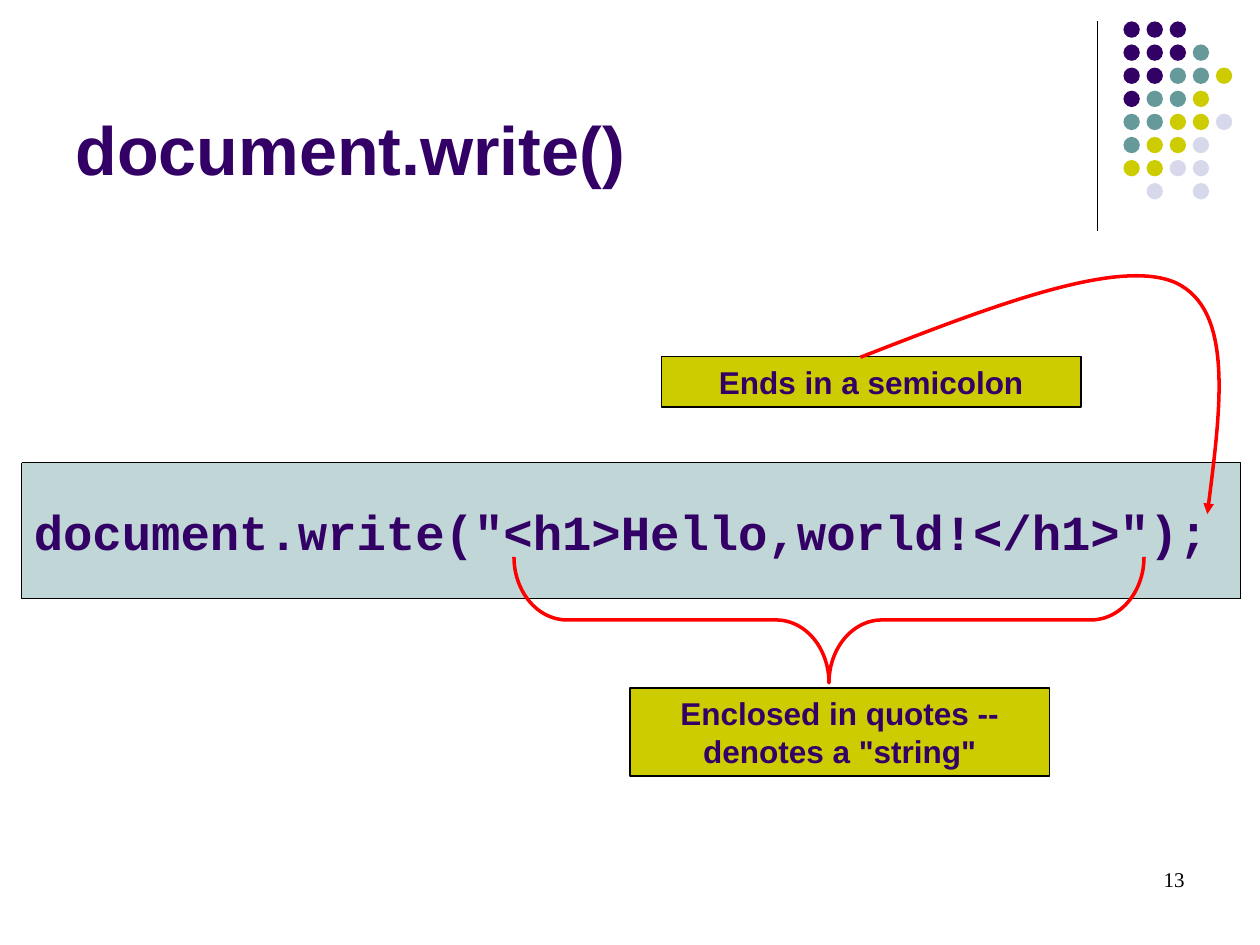
from lxml import etree
from pptx import Presentation, dml, util as u
from pptx.dml import color
from pptx.enum import dml as pen, shapes, text
from pptx.oxml import ns

INK, TEAL, LIME, PALE, RED, BLACK = (
    "330066", "669999", "CCCC00", "D8D8EC", "FF0000", "000000")
DOTS = ["III", "IIIT", "IITTL", "ITTL", "TTLLP", "TLLP", "LLPP", " P P"]
HUES = {"I": INK, "T": TEAL, "L": LIME, "P": PALE}
LEFT, MID, RIGHT = text.PP_ALIGN.LEFT, text.PP_ALIGN.CENTER, text.PP_ALIGN.RIGHT


def rgb(code):
    """Turn a hex string into a colour."""
    return color.RGBColor.from_string(code)


def box(x, y, w, h):
    """Return a box in slide units from lengths in inches."""
    return [u.Inches(n) for n in (x, y, w, h)]


def sub(node, tag, **attrs):
    """Add a drawing child element."""
    return etree.SubElement(node, ns.qn(tag), attrs)


def paint(shape, fill=None, line=None, width=1):
    """Set the fill and outline, and drop the shadow."""
    shape.shadow.inherit = False
    if fill:
        shape.fill.solid()
        shape.fill.fore_color.rgb = rgb(fill)
    else:
        shape.fill.background()
    if line:
        shape.line.color.rgb = rgb(line)
        shape.line.width = u.Pt(width)
    else:
        shape.line.fill.background()


def write(shape, words, size, font="Arial", hue=INK, bold=True,
          align=LEFT, anchor=text.MSO_ANCHOR.TOP):
    """Put one styled run into a shape."""
    frame = shape.text_frame
    frame.word_wrap = True
    frame.auto_size = text.MSO_AUTO_SIZE.NONE
    frame.vertical_anchor = anchor
    para = frame.paragraphs[0]
    para.alignment = align
    run = para.add_run()
    run.text = words
    run.font.name, run.font.size, run.font.bold = font, u.Pt(size), bold
    run.font.color.rgb = rgb(hue)


def corner(slide, area):
    """Draw the rule and the triangle of dots."""
    x, y, w, h = area
    rule = slide.shapes.add_connector(
        shapes.MSO_CONNECTOR.STRAIGHT, x, y, x, y + h)
    rule.line.color.rgb = rgb(BLACK)
    rule.line.width = u.Pt(0.75)
    sub(rule.line._get_or_add_ln().getparent(), "a:effectLst")
    group = slide.shapes.add_group_shape()
    size, step = u.Inches(0.13), u.Inches(0.55) / 3
    start = x + w - size - 4 * step
    for row, marks in enumerate(DOTS):
        for col, mark in enumerate(marks):
            if mark in HUES:
                dot = group.shapes.add_shape(
                    shapes.MSO_SHAPE.OVAL, int(start + col * step),
                    int(y + row * step), size, size)
                paint(dot, HUES[mark])


def heading(slide, area):
    """Place and format the title."""
    title = slide.shapes.title
    title.left, title.top, title.width, title.height = area
    write(title, "document.write()", 39, anchor=text.MSO_ANCHOR.BOTTOM)


def code(slide, area):
    """Draw the tinted band with the line of code."""
    band = slide.shapes.add_shape(shapes.MSO_SHAPE.RECTANGLE, *area)
    paint(band, TEAL, BLACK, 0.25)
    band.line.dash_style = pen.MSO_LINE.ROUND_DOT
    tint = band.fill._xPr.find(ns.qn("a:solidFill"))[0]
    sub(tint, "a:alpha", val="40000")
    write(band, 'document.write("<h1>Hello,world!</h1>");', 28,
          "Courier New", anchor=text.MSO_ANCHOR.MIDDLE)


def brace(slide, area):
    """Draw a brace that opens upward and fills the area."""
    x, y, w, h = area
    shape = slide.shapes.add_shape(
        shapes.MSO_SHAPE.LEFT_BRACE, x + (w - h) // 2, y + (h - w) // 2, h, w)
    shape.rotation = 270
    shape.adjustments[0] = 0.42
    paint(shape, line=RED, width=2)


def note(slide, area, words):
    """Draw a yellow callout."""
    card = slide.shapes.add_shape(shapes.MSO_SHAPE.RECTANGLE, *area)
    paint(card, LIME, BLACK, 0.75)
    write(card, words, 18, align=MID)


def arrow(slide, area):
    """Draw the curved arrow through two cubic segments."""
    x, y, w, h = area
    spots = [(0, 0.39), (0.345, 0.195), (0.69, 0), (0.845, 0.1),
             (1, 0.205), (0.965, 0.6), (0.93, 1)]
    points = [(int(x + a * w), int(y + b * h)) for a, b in spots]
    pen_down = slide.shapes.build_freeform(*points[0])
    pen_down.add_line_segments(points[1:], close=False)
    curve = pen_down.convert_to_shape()
    paint(curve, line=RED, width=2)
    track = next(curve.element.iter(ns.qn("a:path")))
    lines = track.findall(ns.qn("a:lnTo"))
    for first in range(0, len(lines), 3):
        bend = sub(track, "a:cubicBezTo")
        for part in lines[first:first + 3]:
            bend.append(part[0])
            track.remove(part)
    sub(curve.line._get_or_add_ln(), "a:tailEnd", type="triangle")


def number(slide, area):
    """Write the page number."""
    label = slide.shapes.add_textbox(*area)
    write(label, "13", 12, "Times New Roman", BLACK, False, RIGHT)


def main():
    """Build and save the slide."""
    deck = Presentation()
    deck.slide_width, deck.slide_height = u.Inches(10), u.Inches(7.5)
    slide = deck.slides.add_slide(deck.slide_layouts[5])
    corner(slide, box(8.71, 0.17, 1.07, 1.66))
    heading(slide, box(0.5, 0.13, 8.25, 1.42))
    code(slide, box(0.17, 3.67, 9.67, 1.08))
    brace(slide, box(4.08, 4.42, 5, 1))
    note(slide, box(5, 5.46, 3.33, 0.7),
         'Enclosed in quotes -- denotes a "string"')
    note(slide, box(5.25, 2.83, 3.33, 0.4), "Ends in a semicolon")
    arrow(slide, box(6.83, 2.04, 2.96, 2.04))
    number(slide, box(7.17, 6.83, 2.33, 0.5))
    deck.save("out.pptx")


if __name__ == "__main__":
    main()
